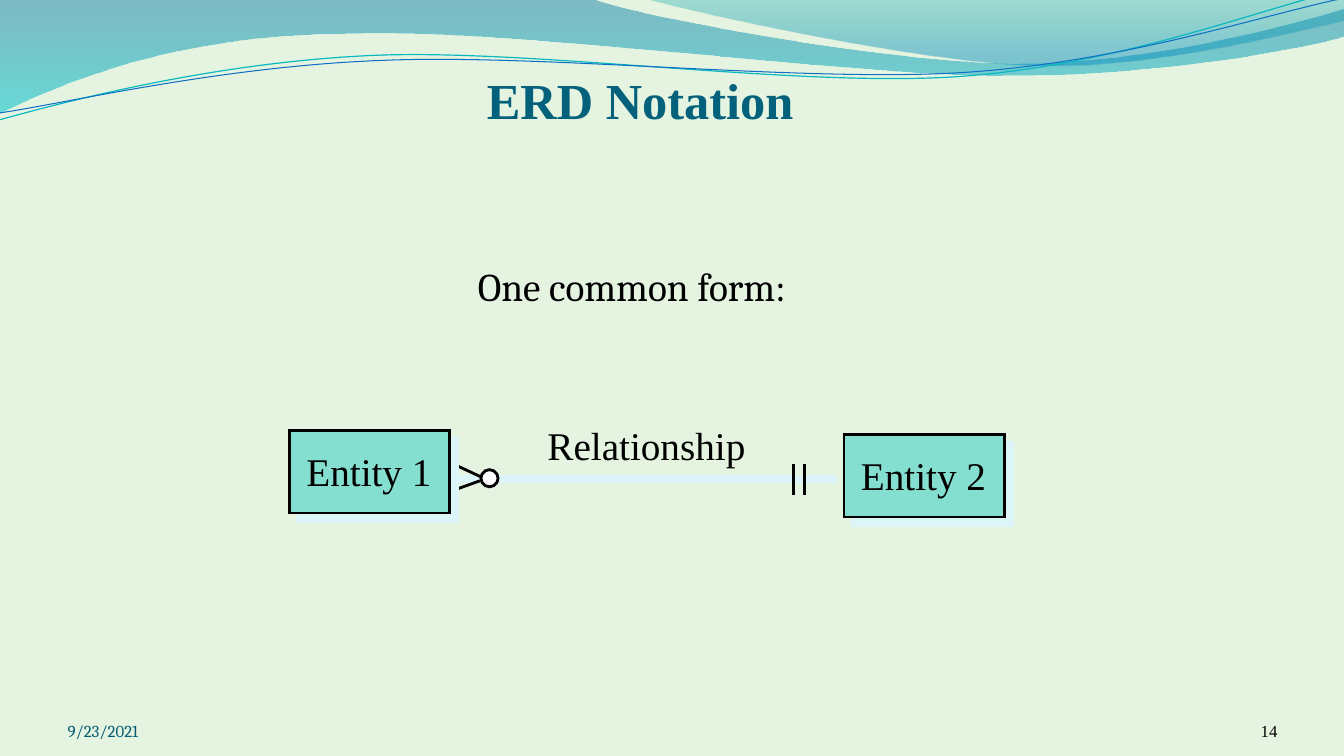
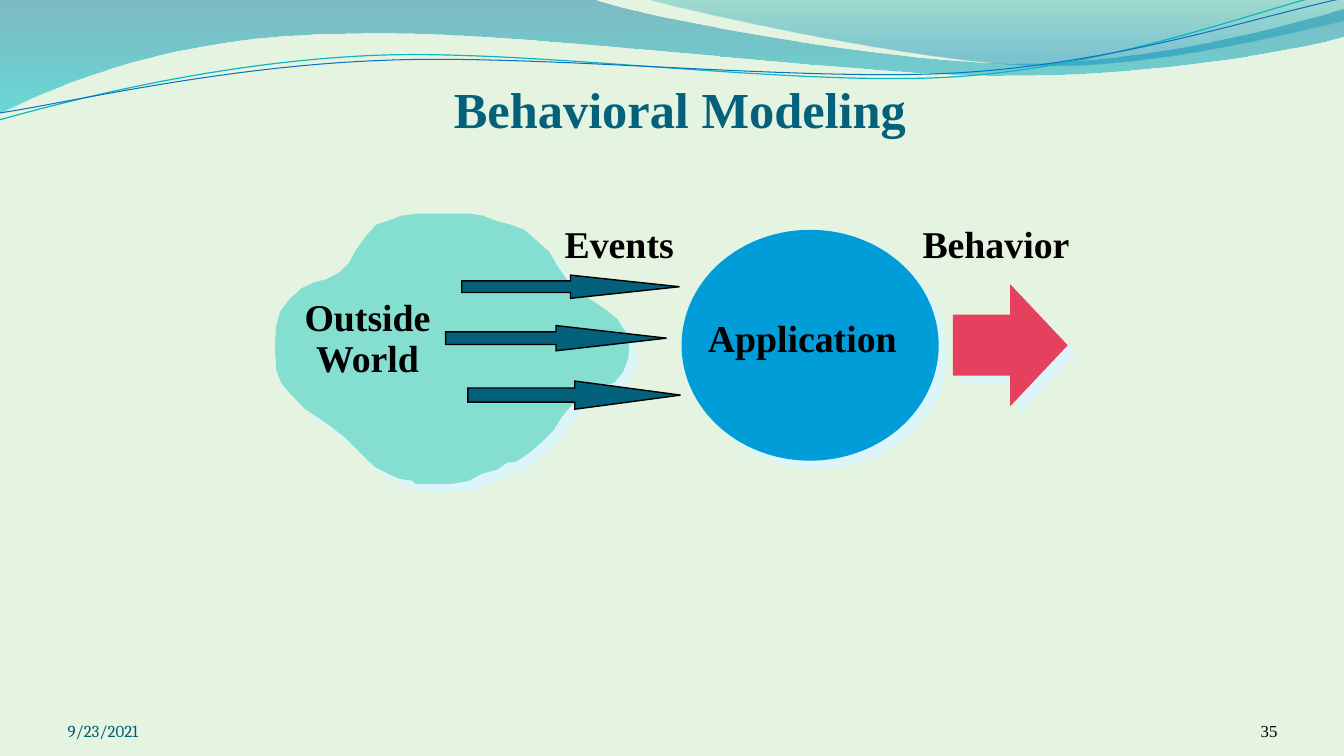
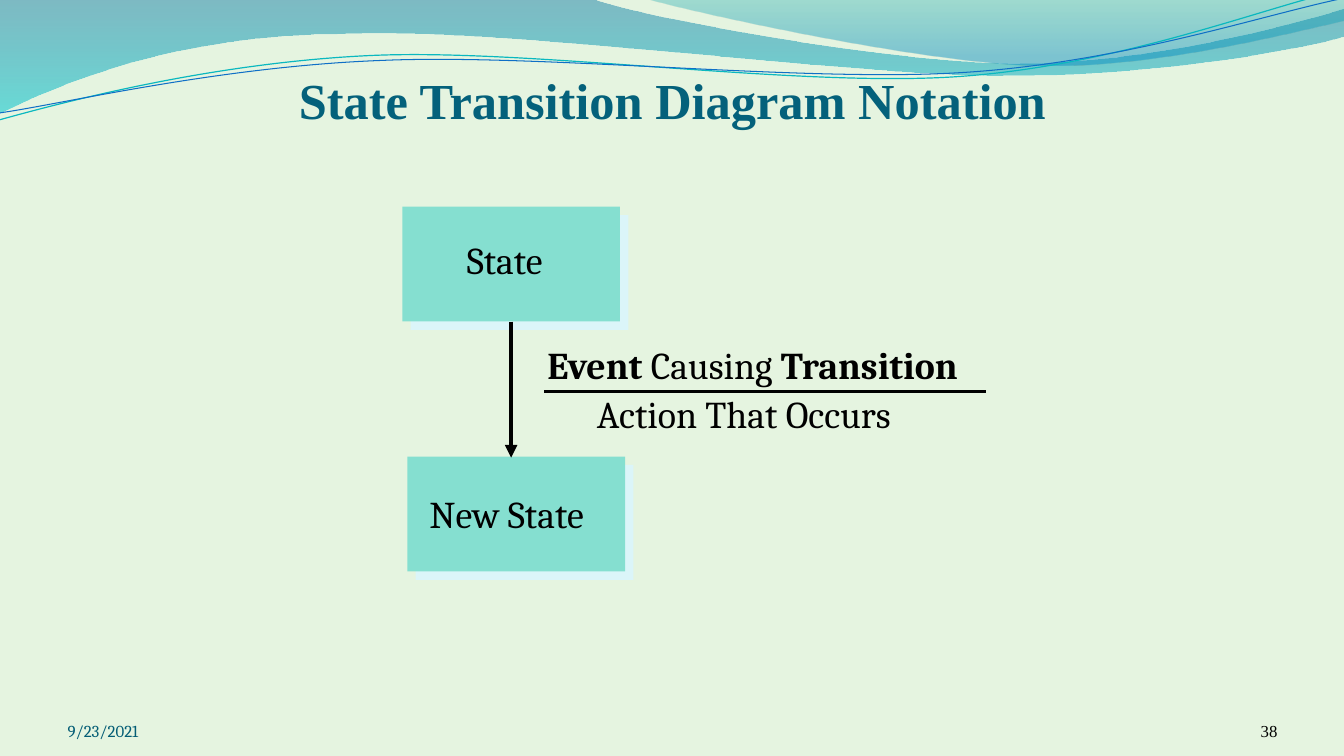
from dataclasses import dataclass
from typing import Optional

from lxml import etree
from pptx import Presentation
from pptx import util as u
from pptx.dml.color import RGBColor
from pptx.enum import shapes, text
from pptx.oxml import ns

# The grid: one cell is one inch, 13.33 columns by 7.5 rows.
CELL = u.Inches(1)
COLS, ROWS = 13.33, 7.5

PAPER = RGBColor(0xE5, 0xF4, 0xE0)
BLACK = RGBColor(0, 0, 0)
WHITE = RGBColor(0xFF, 0xFF, 0xFF)
NAVY = RGBColor(0x04, 0x61, 0x7B)
DATE_BLUE = RGBColor(0x04, 0x5D, 0x75)
MINT = RGBColor(0x85, 0xDF, 0xD0)
SKY = RGBColor(0x00, 0x9D, 0xD9)
RED = RGBColor(0xE5, 0x40, 0x5D)
ICE = RGBColor(0xDB, 0xF5, 0xF9)

SERIF, BODY = "Times New Roman", "Cambria"
TITLE = dict(name=SERIF, size=u.Pt(36), bold=True)
ERD = dict(name=SERIF, size=u.Pt(28))
ERD_NOTE = dict(name=BODY, size=u.Pt(28))
FLOW = dict(name=SERIF, size=u.Pt(27), bold=True)
STATE = dict(name=BODY, size=u.Pt(27))
DATE = dict(name=BODY, size=u.Pt(12))
NUMBER = dict(name=SERIF, size=u.Pt(12))

LEFT, CENTER, RIGHT = text.PP_ALIGN.LEFT, text.PP_ALIGN.CENTER, text.PP_ALIGN.RIGHT
TOP, BOTTOM = text.MSO_ANCHOR.TOP, text.MSO_ANCHOR.BOTTOM
KIND = shapes.MSO_SHAPE


@dataclass
class Label:
    """Text in a box; each line is a string or a tuple of (text, bold) runs."""
    box: tuple
    lines: tuple
    font: dict
    color: RGBColor = BLACK
    align: text.PP_ALIGN = LEFT
    anchor: text.MSO_ANCHOR = TOP
    spacing: Optional[float] = None
    inset: tuple = (0.11, 0.05)
    fits_text: bool = True
    fill: Optional[RGBColor] = None


@dataclass
class Block:
    kind: shapes.MSO_SHAPE
    box: tuple
    fill: RGBColor
    outline: float = 0
    shadow: bool = True
    adjust: tuple = ()


@dataclass
class Line:
    start: tuple
    end: tuple
    width: float = 2
    color: RGBColor = BLACK
    arrow: bool = False


@dataclass
class Wave:
    """Segments hold one point, or two control points and an end point.

    Stops are (position, colour, opacity in percent); without them the wave is a line.
    """
    start: tuple
    segments: tuple
    stops: tuple = ()
    color: Optional[RGBColor] = None
    width: float = 0


WAVES = (
    Wave((0, -0.01), (
        (5.87, -0.01),
        (6.34, 0.17, 8.85, 0.63, 10.11, 0.63),
        (11.38, 0.63, 12.78, 0.26, 13.33, 0.09),
        (13.35, 0.36),
        (13.11, 0.44, 11.6, 0.76, 9.94, 0.75),
        (8.29, 0.75, 5.09, 0.28, 3.43, 0.34),
        (1.72, 0.35, 0.61, 0.83, -0.01, 1.13)),
        stops=((0, RGBColor(0x00, 0x74, 0xA1), 45), (1, RGBColor(0x00, 0xC6, 0xCF), 55))),
    Wave((6.39, -0.01), (
        (6.79, 0.11, 9.09, 0.62, 10.25, 0.65),
        (11.41, 0.69, 12.82, 0.32, 13.33, 0.21),
        (13.33, 0)),
        stops=((0, RGBColor(0x00, 0xA1, 0xA9), 30), (0.8, RGBColor(0x00, 0x8B, 0xBF), 45))),
    Wave((-0.01, 1.19), (
        (0.64, 1.01, 2.11, 0.62, 3.69, 0.55),
        (5.27, 0.48, 7.9, 0.87, 9.5, 0.76),
        (11.1, 0.65, 12.52, 0.08, 13.31, -0.1)),
        color=RGBColor(0x0A, 0xB8, 0xBF), width=0.85),
    Wave((0, 1.12), (
        (0.63, 1.03, 2.18, 0.66, 3.78, 0.6),
        (5.37, 0.53, 7.96, 0.82, 9.55, 0.72),
        (11.15, 0.62, 12.55, 0.14, 13.34, -0.02)),
        color=RGBColor(0x0F, 0x6F, 0xC6), width=0.75),
)

OUTSIDE_WORLD = (
    (4.26, 2.12), (4.14, 2.12), (3.98, 2.14), (3.85, 2.19), (3.73, 2.23), (3.64, 2.33),
    (3.53, 2.48), (3.46, 2.61), (3.37, 2.7), (3.24, 2.77), (3.12, 2.8), (2.99, 2.86),
    (2.87, 2.97), (2.78, 3.09), (2.74, 3.23), (2.73, 3.36), (2.73, 3.52), (2.74, 3.67),
    (2.79, 3.8), (2.89, 3.92), (3.03, 4.06), (3.15, 4.14), (3.28, 4.23), (3.42, 4.34),
    (3.53, 4.45), (3.64, 4.56), (3.73, 4.64), (3.85, 4.7), (3.96, 4.75), (4.09, 4.77),
    (4.12, 4.8), (4.49, 4.8), (4.65, 4.77), (4.78, 4.7), (4.93, 4.66), (5.03, 4.59),
    (5.12, 4.58), (5.24, 4.5), (5.37, 4.39), (5.49, 4.27), (5.57, 4.14), (5.67, 4.02),
    (5.78, 3.91), (5.93, 3.83), (6.09, 3.8), (6.18, 3.69), (6.23, 3.56), (6.24, 3.44),
    (6.21, 3.3), (6.12, 3.16), (5.99, 3.06), (5.87, 2.98), (5.74, 2.89), (5.62, 2.77),
    (5.53, 2.64), (5.45, 2.5), (5.35, 2.41), (5.2, 2.28), (5.07, 2.23), (4.92, 2.19),
    (4.79, 2.14), (4.67, 2.12),
)


def cells(*lengths: float) -> list:
    return [u.Emu(round(n * CELL)) for n in lengths]


def add_xml(parent, tag: str, **attributes: str):
    return etree.SubElement(parent, ns.qn(tag), attributes)


def cast_shadow(shape) -> None:
    """Give the shape a hard pale shadow to the lower right."""
    effects = shape.element.spPr.find(ns.qn("a:effectLst"))
    outer = add_xml(effects, "a:outerShdw", blurRad="0", dist=str(u.Pt(8.5)),
                    dir="2700000", algn="ctr", rotWithShape="0")
    add_xml(outer, "a:srgbClr", val=str(ICE))


def write(tf, label: Label) -> None:
    across, down = cells(*label.inset)
    frame = dict(margin_left=across, margin_right=across, margin_top=down,
                 margin_bottom=down, vertical_anchor=label.anchor,
                 word_wrap=not label.fits_text,
                 auto_size=(text.MSO_AUTO_SIZE.SHAPE_TO_FIT_TEXT if label.fits_text
                            else text.MSO_AUTO_SIZE.NONE))
    for name, value in frame.items():
        setattr(tf, name, value)
    for i, line in enumerate(label.lines):
        p = tf.add_paragraph() if i else tf.paragraphs[0]
        p.alignment = label.align
        p.line_spacing = label.spacing
        runs = ((line, None),) if isinstance(line, str) else line
        for words, bold in runs:
            r = p.add_run()
            r.text = words
            for name, value in label.font.items():
                setattr(r.font, name, value)
            if bold is not None:
                r.font.bold = bold
            r.font.color.rgb = label.color


def draw_label(s, label: Label) -> None:
    if label.fill:
        sp = draw_block(s, Block(KIND.RECTANGLE, label.box, label.fill, shadow=False))
    else:
        sp = s.shapes.add_textbox(*cells(*label.box))
    write(sp.text_frame, label)


def draw_block(s, block: Block):
    sp = s.shapes.add_shape(block.kind, *cells(*block.box))
    for i, value in enumerate(block.adjust):
        sp.adjustments[i] = value
    sp.fill.solid()
    sp.fill.fore_color.rgb = block.fill
    if block.outline:
        sp.line.color.rgb = BLACK
        sp.line.width = u.Pt(block.outline)
        add_xml(sp.element.spPr.find(ns.qn("a:ln")), "a:miter", lim="800000")
    else:
        sp.line.fill.background()
    sp.shadow.inherit = False
    if block.shadow:
        cast_shadow(sp)
    return sp


def draw_line(s, line: Line):
    cxn = s.shapes.add_connector(shapes.MSO_CONNECTOR.STRAIGHT,
                                 *cells(*line.start, *line.end))
    cxn.line.color.rgb = line.color
    cxn.line.width = u.Pt(line.width)
    if line.arrow:
        add_xml(cxn.element.spPr.find(ns.qn("a:ln")), "a:tailEnd", type="triangle")
    add_xml(cxn.element.spPr, "a:effectLst")
    return cxn


def draw_outline(s, points, closed: bool):
    first, *rest = [cells(*point) for point in points]
    builder = s.shapes.build_freeform(*first)
    builder.add_line_segments(rest, close=closed)
    sp = builder.convert_to_shape()
    sp.shadow.inherit = False
    return sp


def bend(shape, segments: tuple) -> None:
    """Join each three straight steps of a curved segment into one Bezier curve."""
    steps = iter(list(shape.element.spPr.iter(ns.qn("a:lnTo"))))
    for seg in segments:
        curve = next(steps)
        if len(seg) == 6:
            curve.tag = ns.qn("a:cubicBezTo")
            for step in (next(steps), next(steps)):
                curve.append(step[0])
                step.getparent().remove(step)


def draw_wave(s, wave: Wave) -> None:
    points = [wave.start]
    for seg in wave.segments:
        points.extend(zip(seg[::2], seg[1::2]))
    sp = draw_outline(s, points, bool(wave.stops))
    bend(sp, wave.segments)
    if not wave.stops:
        sp.fill.background()
        sp.line.color.rgb = wave.color
        sp.line.width = u.Pt(wave.width)
        return
    sp.fill.gradient()
    sp.fill.gradient_angle = 270
    for stop, (position, color, _) in zip(sp.fill.gradient_stops, wave.stops):
        stop.position = position
        stop.color.rgb = color
    for color, (_, _, opacity) in zip(sp.element.spPr.iter(ns.qn("a:srgbClr")), wave.stops):
        add_xml(color, "a:alpha", val=str(opacity * 1000))
    sp.line.fill.background()


def add_slide(prs, title: str, title_box: tuple, number: int):
    """Add a slide with the waves, the title and the footer."""
    s = prs.slides.add_slide(prs.slide_layouts[6])
    for wave in WAVES:
        draw_wave(s, wave)
    foot = dict(anchor=BOTTOM, inset=(0, 0), fits_text=False)
    for label in (
        Label(title_box, (title,), TITLE, NAVY, CENTER, BOTTOM, fits_text=False),
        Label((0.67, 6.95, 3.11, 0.4), ("9/23/2021",), DATE, DATE_BLUE, **foot),
        Label((11.56, 6.95, 1.11, 0.4), (str(number),), NUMBER, align=RIGHT, **foot),
    ):
        draw_label(s, label)
    return s


def erd_notation(prs) -> None:
    s = add_slide(prs, "ERD Notation", (2, 0.65, 8.7, 0.68), 14)
    crow_foot = (Line((4.51, 4.61), (4.79, 4.74)), Line((4.76, 4.77), (4.51, 4.86)))
    exactly_one = tuple(Line((x, 4.6), (x, 4.91)) for x in (7.87, 7.98))
    for line in (Line((4.52, 4.75), (8.3, 4.75), 6, ICE), *crow_foot, *exactly_one):
        draw_line(s, line)
    draw_block(s, Block(KIND.OVAL, (4.77, 4.66, 0.17, 0.17), WHITE, 2, shadow=False))
    for left, top, name in ((2.87, 4.27, "Entity 1"), (8.37, 4.31, "Entity 2")):
        draw_block(s, Block(KIND.RECTANGLE, (left, top, 1.59, 0.82), MINT, 2))
        draw_label(s, Label((left + 0.06, top + 0.12, 1.54, 0.58), (name,), ERD))
    draw_label(s, Label((4.63, 2.55, 3.55, 0.58), ("One common form:",), ERD_NOTE))
    draw_label(s, Label((5.32, 4.13, 2.21, 0.58), ("Relationship",), ERD))


def behavioral_modeling(prs) -> None:
    s = add_slide(prs, "Behavioral Modeling", (2.8, 0.74, 7.89, 0.68), 35)
    draw_block(s, Block(KIND.RIGHT_ARROW, (9.45, 2.82, 1.14, 1.21), RED))
    world = draw_outline(s, OUTSIDE_WORLD, True)
    world.fill.solid()
    world.fill.fore_color.rgb = MINT
    world.line.fill.background()
    cast_shadow(world)
    for box, head in (((4.58, 2.73, 2.16, 0.23), 4.7),
                      ((4.42, 3.23, 2.19, 0.25), 4.38),
                      ((4.64, 3.78, 2.11, 0.28), 3.75)):
        draw_block(s, Block(KIND.RIGHT_ARROW, box, NAVY, 1, shadow=False,
                            adjust=(0.5, head)))
    draw_block(s, Block(KIND.OVAL, (6.76, 2.28, 2.55, 2.29), SKY))
    for box, lines, align in (
        ((2.9, 2.92, 1.49, 0.93), ("Outside", "World"), CENTER),
        ((6.91, 3.12, 2.12, 0.52), ("Application",), LEFT),
        ((5.49, 2.19, 1.32, 0.52), ("Events",), LEFT),
        ((9.04, 2.19, 1.7, 0.52), ("Behavior",), LEFT),
    ):
        draw_label(s, Label(box, lines, FLOW, align=align, spacing=0.9))


def state_transition(prs) -> None:
    s = add_slide(prs, "State Transition Diagram Notation", (1.4, 0.65, 10.54, 0.68), 38)
    states = []
    for corner, name, name_box in (
        ((3.99, 2.05), "State", (4.52, 2.3, 1.04, 0.56)),
        ((4.04, 4.53), "New State", (4.15, 4.82, 1.86, 0.56)),
    ):
        states.append(draw_block(s, Block(KIND.RECTANGLE, (*corner, 2.16, 1.14), MINT)))
        draw_label(s, Label(name_box, (name,), STATE, fill=MINT))
    transition = draw_line(s, Line((5.07, 3.19), (5.07, 4.54), 3, arrow=True))
    transition.begin_connect(states[0], 2)
    draw_line(s, Line((5.4, 3.88), (9.78, 3.88)))
    event = (("Event ", True), ("Causing", False), (" Transition", True))
    draw_label(s, Label((5.32, 3.34, 4.68, 0.56), (event,), STATE))
    draw_label(s, Label((5.81, 3.83, 3.41, 0.56), ("Action That Occurs",), STATE))


def main() -> None:
    prs = Presentation()
    prs.slide_width, prs.slide_height = cells(COLS, ROWS)
    background = prs.slide_master.background.fill
    background.solid()
    background.fore_color.rgb = PAPER
    for build in (erd_notation, behavioral_modeling, state_transition):
        build(prs)
    prs.save("out.pptx")


if __name__ == "__main__":
    main()
